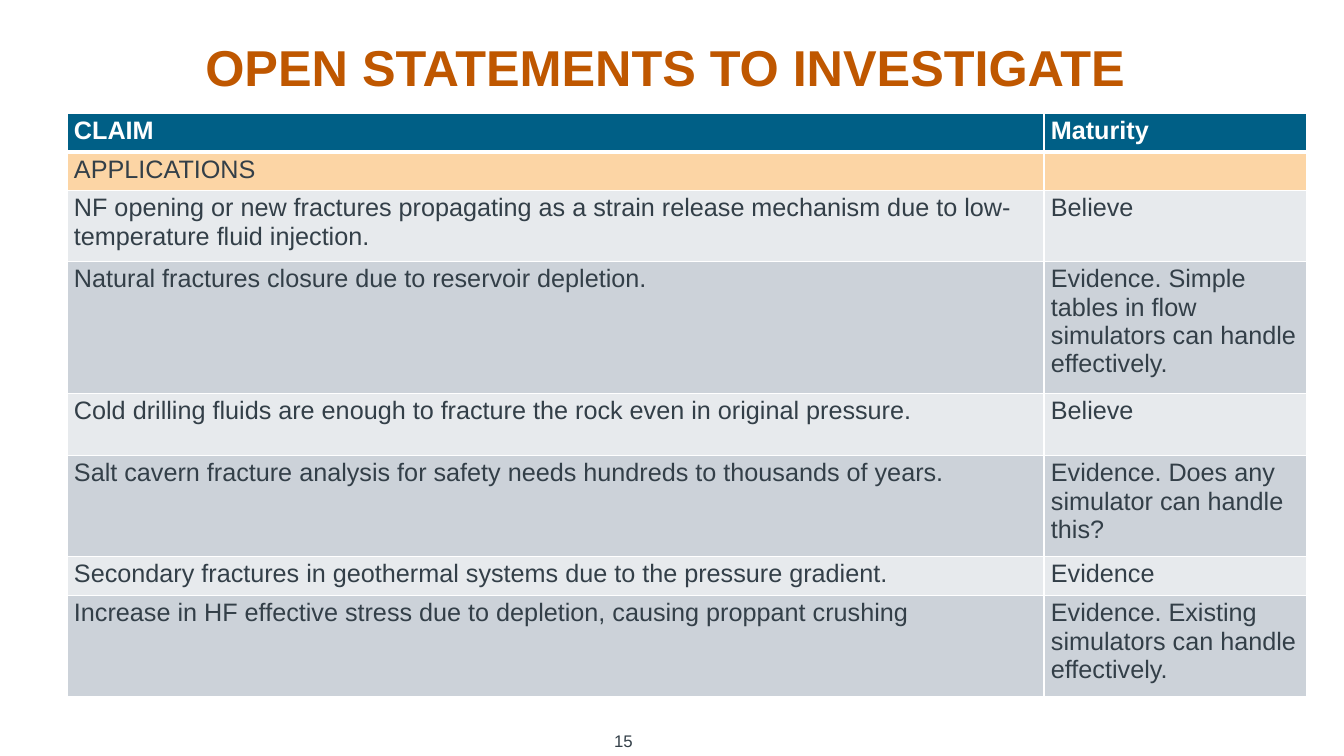
from dataclasses import dataclass

import lxml.etree
import pptx
import pptx.dml.color
import pptx.enum.text
import pptx.oxml.ns
import pptx.util

PX = 914400 / 100.8  # EMU per px
FONT = "Arial"
COLORS = {
    "title": "BF5700",
    "ink": "333F48",
    "white": "FFFFFF",
    "header": "005F86",
    "section": "FCD5A5",
    "light": "E7EAED",
    "dark": "CCD2D9",
}


@dataclass(frozen=True)
class Label:
    text: str
    left: int
    top: int
    width: int
    height: int
    size: int
    color: str
    bold: bool = False


@dataclass(frozen=True)
class Statement:
    claim: str
    maturity: str
    height: int
    fill: str
    color: str = "ink"
    bold: bool = False
    rule_above: int = 1
    rule_below: int = 1


LABELS = [
    Label("OPEN STATEMENTS TO INVESTIGATE", 25, 30, 1281, 72, 36, "title", True),
    Label("15", 599, 726, 49, 30, 12, "ink"),
]

TABLE_LEFT, TABLE_TOP = 67, 113
COLUMN_WIDTHS = (977, 263)
STATEMENTS = [
    Statement("CLAIM", "Maturity", 39, "header", "white", True, rule_below=3),
    Statement("APPLICATIONS", "", 38, "section", rule_above=3),
    Statement("NF opening or new fractures propagating as a strain release mechanism "
              "due to low-temperature fluid injection.", "Believe", 71, "light"),
    Statement("Natural fractures closure due to reservoir depletion.",
              "Evidence. Simple tables in flow simulators can handle effectively.",
              132, "dark"),
    Statement("Cold drilling fluids are enough to fracture the rock even in original pressure.",
              "Believe", 62, "light"),
    Statement("Salt cavern fracture analysis for safety needs hundreds to thousands of years.",
              "Evidence. Does any simulator can handle this?", 101, "dark"),
    Statement("Secondary fractures in geothermal systems due to the pressure gradient.",
              "Evidence", 39, "light"),
    Statement("Increase in HF effective stress due to depletion, causing proppant crushing",
              "Evidence. Existing simulators can handle effectively.", 101, "dark"),
]


def px(length: int) -> pptx.util.Emu:
    return pptx.util.Emu(round(length * PX))


def rgb(name: str) -> pptx.dml.color.RGBColor:
    return pptx.dml.color.RGBColor.from_string(COLORS[name])


def style_font(paragraph, size: int, color: str, bold: bool) -> None:
    font = paragraph.font
    font.name, font.size, font.bold = FONT, pptx.util.Pt(size), bold
    font.color.rgb = rgb(color)


def add_label(slide, label: Label) -> None:
    box = slide.shapes.add_textbox(
        px(label.left), px(label.top), px(label.width), px(label.height))
    frame = box.text_frame
    frame.word_wrap = True
    frame.vertical_anchor = pptx.enum.text.MSO_ANCHOR.MIDDLE
    frame.margin_left = frame.margin_right = frame.margin_top = frame.margin_bottom = 0
    paragraph = frame.paragraphs[0]
    paragraph.text = label.text
    paragraph.alignment = pptx.enum.text.PP_ALIGN.CENTER
    style_font(paragraph, label.size, label.color, label.bold)


def add_borders(cell, above: int, below: int) -> None:
    properties = cell._tc.get_or_add_tcPr()
    widths = {"lnL": 1, "lnR": 1, "lnT": above, "lnB": below}
    qn = pptx.oxml.ns.qn
    for position, (side, width) in enumerate(widths.items()):
        line = lxml.etree.Element(qn(f"a:{side}"), w=str(pptx.util.Pt(width)))
        fill = lxml.etree.SubElement(line, qn("a:solidFill"))
        lxml.etree.SubElement(fill, qn("a:srgbClr"), val=COLORS["white"])
        properties.insert(position, line)


def fill_cell(cell, text: str, statement: Statement) -> None:
    cell.margin_left = cell.margin_right = px(7)
    cell.margin_top = cell.margin_bottom = px(4)
    cell.fill.solid()
    cell.fill.fore_color.rgb = rgb(statement.fill)
    add_borders(cell, statement.rule_above, statement.rule_below)
    paragraph = cell.text_frame.paragraphs[0]
    paragraph.text = text
    style_font(paragraph, 18, statement.color, statement.bold)


def add_statements(slide) -> None:
    table = slide.shapes.add_table(
        len(STATEMENTS), len(COLUMN_WIDTHS), px(TABLE_LEFT), px(TABLE_TOP),
        px(sum(COLUMN_WIDTHS)), px(sum(s.height for s in STATEMENTS))).table
    for column, width in zip(table.columns, COLUMN_WIDTHS):
        column.width = px(width)
    for row, statement in zip(table.rows, STATEMENTS):
        row.height = px(statement.height)
        for cell, text in zip(row.cells, (statement.claim, statement.maturity)):
            fill_cell(cell, text, statement)


def main() -> None:
    presentation = pptx.Presentation()
    presentation.slide_width, presentation.slide_height = px(1344), px(756)
    slide = presentation.slides.add_slide(presentation.slide_layouts[6])

    # Title and page number
    for label in LABELS:
        add_label(slide, label)

    # Claims and their maturity
    add_statements(slide)

    presentation.save("out.pptx")


if __name__ == "__main__":
    main()
